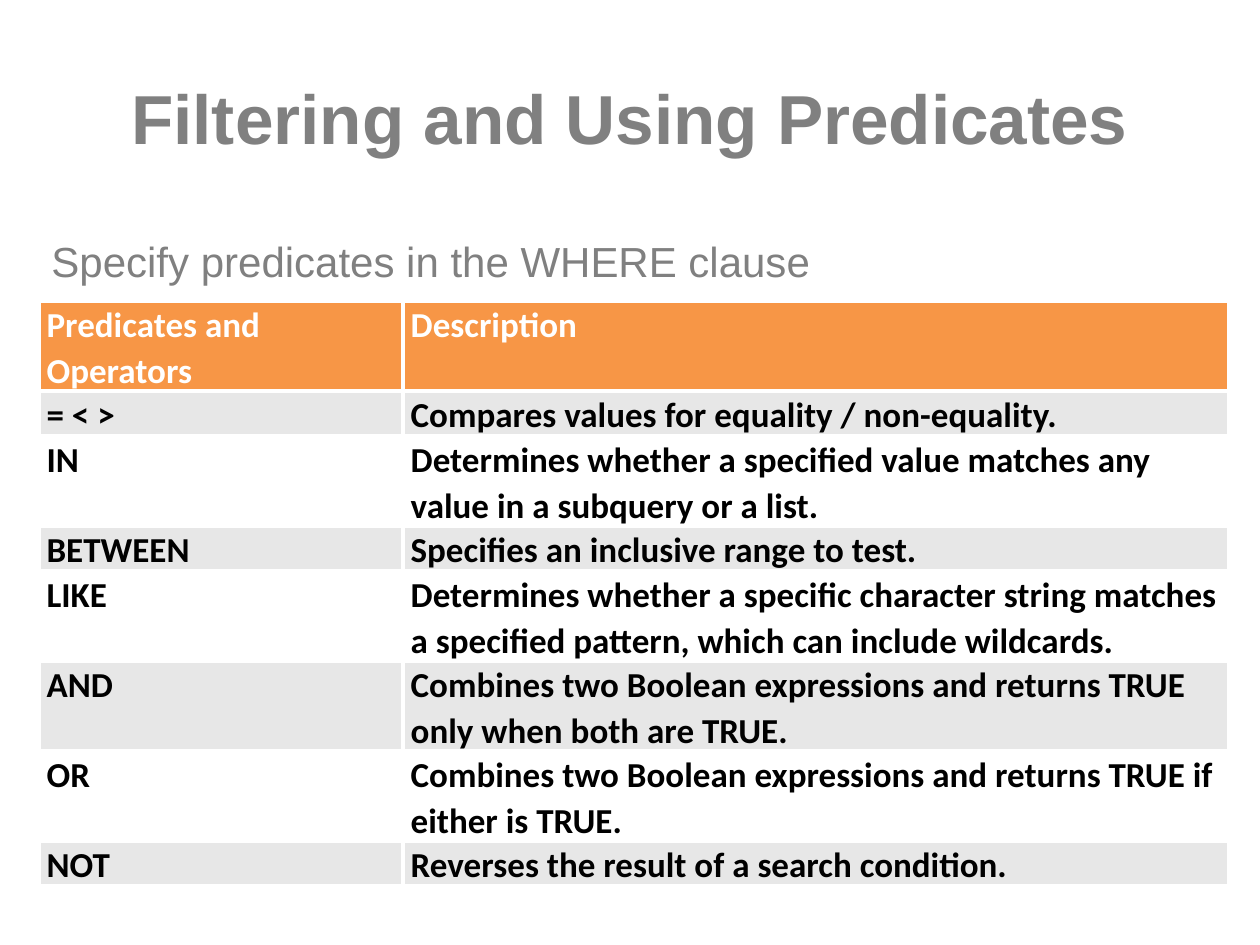
from lxml.etree import SubElement
from pptx import Presentation
from pptx.dml.color import RGBColor
from pptx.enum.text import MSO_ANCHOR, MSO_AUTO_SIZE, PP_ALIGN
from pptx.oxml import parse_xml
from pptx.oxml.ns import nsdecls, qn
from pptx.util import Inches, Pt

GRAY = RGBColor(0x80, 0x80, 0x80)
ORANGE = RGBColor(0xF7, 0x96, 0x46)
BAND = RGBColor(0xE7, 0xE7, 0xE7)
WHITE = RGBColor(0xFF, 0xFF, 0xFF)
BLACK = RGBColor(0, 0, 0)

PREDICATES = [
    ("Predicates and Operators", "Description"),
    ("= < >", "Compares values for equality / non-equality."),
    ("IN", "Determines whether a specified value matches any value in a subquery or a list."),
    ("BETWEEN", "Specifies an inclusive range to test."),
    ("LIKE", "Determines whether a specific character string matches a specified pattern, "
             "which can include wildcards."),
    ("AND", "Combines two Boolean expressions and returns TRUE only when both are TRUE."),
    ("OR", "Combines two Boolean expressions and returns TRUE if either is TRUE."),
    ("NOT", "Reverses the result of a search condition."),
]


class SlideBuilder:
    """Places elements on a grid of 100 columns by 75 rows."""

    heading_font = "Arial"
    table_font = "Calibri"

    def __init__(self, prs):
        self.col = prs.slide_width / 100
        self.row = prs.slide_height / 75
        self.s = prs.slides.add_slide(prs.slide_layouts[5])

    def box(self, x, y, w, h):
        return [int(v) for v in (x * self.col, y * self.row, w * self.col, h * self.row)]

    def style(self, p, name, size, color, bold=False):
        f = p.font
        f.name, f.size, f.bold = name, Pt(size), bold
        f.color.rgb = color

    def title(self, text, *place):
        sp = self.s.shapes.title
        sp.left, sp.top, sp.width, sp.height = self.box(*place)
        tf = sp.text_frame
        tf.text = text
        tf.auto_size = MSO_AUTO_SIZE.NONE
        tf.vertical_anchor = MSO_ANCHOR.MIDDLE
        p = tf.paragraphs[0]
        p.alignment = PP_ALIGN.CENTER
        self.style(p, self.heading_font, 39.6, GRAY, True)

    def text(self, text, *place):
        tf = self.s.shapes.add_textbox(*self.box(*place)).text_frame
        tf.word_wrap = True
        tf.text = text
        p = tf.paragraphs[0]
        p.space_before = Pt(14)
        self.style(p, self.heading_font, 24, GRAY)

    def borders(self, cell, color, width):
        tc_pr = cell._tc.get_or_add_tcPr()
        for i, side in enumerate(("lnL", "lnR", "lnT", "lnB")):
            ln = parse_xml(f'<a:{side} {nsdecls("a")} w="{Pt(width)}"/>')
            fill = SubElement(ln, qn("a:solidFill"))
            SubElement(fill, qn("a:srgbClr"), val=str(color))
            tc_pr.insert(i, ln)

    def cell(self, cell, text, fill, color):
        cell.margin_left = cell.margin_right = Inches(0.06)
        cell.margin_top = cell.margin_bottom = 0
        cell.fill.solid()
        cell.fill.fore_color.rgb = fill
        self.borders(cell, WHITE, 3)
        cell.text = text
        p = cell.text_frame.paragraphs[0]
        p.line_spacing = 1.07
        self.style(p, self.table_font, 20, color, True)

    def table(self, rows, widths, heights, *place):
        shape = self.s.shapes.add_table(len(rows), len(widths), *self.box(*place))
        table = shape.table
        for column, width in zip(table.columns, widths):
            column.width = int(width * self.col)
        for i, (texts, height) in enumerate(zip(rows, heights)):
            table.rows[i].height = int(height * self.row)
            fill = ORANGE if i == 0 else BAND if i % 2 else WHITE
            for j, text in enumerate(texts):
                self.cell(table.cell(i, j), text, fill, BLACK if i else WHITE)


def main():
    prs = Presentation()
    prs.slide_width, prs.slide_height = Inches(10), Inches(7.5)
    slide = SlideBuilder(prs)

    # Heading and lead-in
    slide.title("Filtering and Using Predicates", 5, 3, 90, 12.5)
    slide.text("Specify predicates in the WHERE clause", 3.1, 18.2, 94.5, 5.7)

    # Predicate table: long descriptions take two lines
    line = 3.13
    heights = [line * (2 if len(text) > 50 else 1) for _, text in PREDICATES]
    slide.table(PREDICATES, (28.9, 65.6), heights, 3.1, 23.9, 94.5, sum(heights))

    prs.save("out.pptx")


if __name__ == "__main__":
    main()
